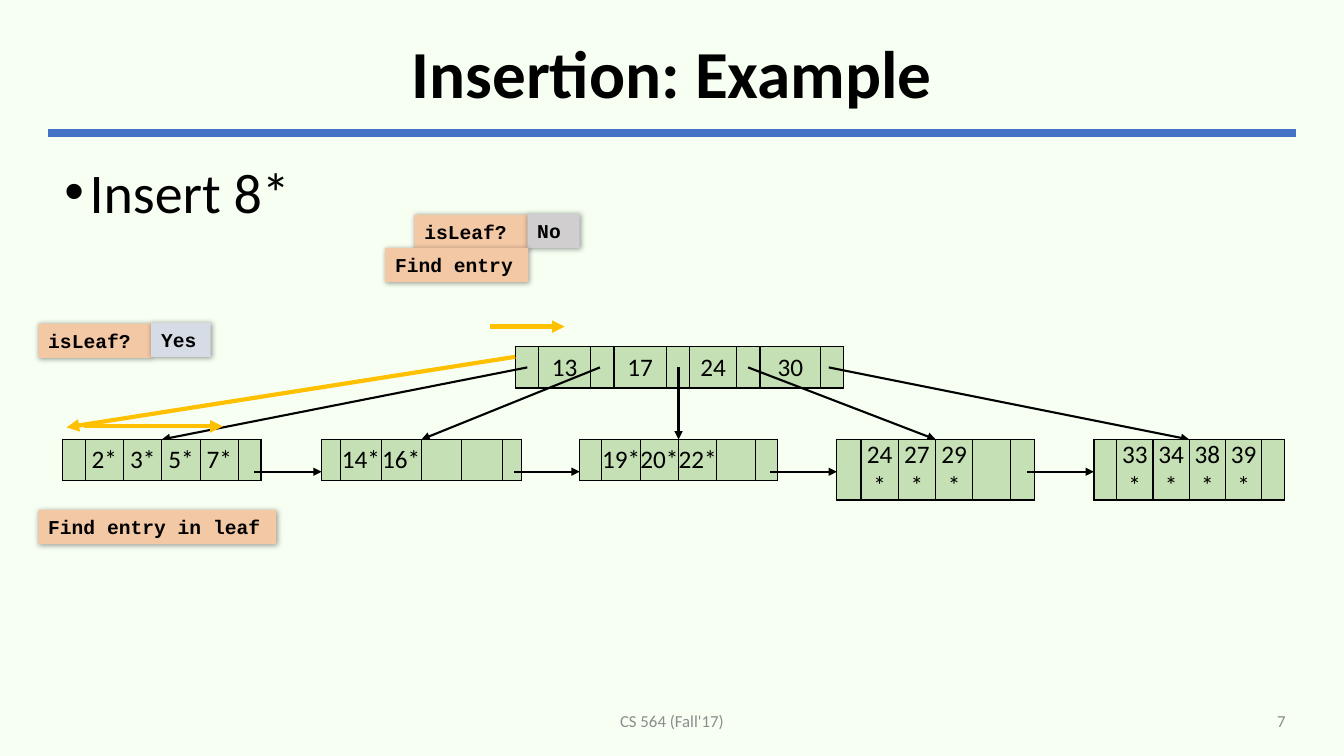
import pptx
import pptx.util
import pptx.dml.color
import pptx.enum.shapes
import pptx.enum.text
import pptx.oxml
import pptx.oxml.ns

In, Pt = pptx.util.Inches, pptx.util.Pt
ALIGN, ANCHOR = pptx.enum.text.PP_ALIGN, pptx.enum.text.MSO_ANCHOR
NS = pptx.oxml.ns.nsdecls("a")

W, H = 13.33, 7.5
MARGIN, CONTENT_W = 0.48, 12.37
COLORS = {
    "background": "F7FFF3", "rule": "4472C4", "text": "000000", "footer": "8C8C8C",
    "node": "C5E0B4", "step": "F3C8A4", "no": "D0CECE", "yes": "D6DCE5", "path": "FFC000",
}

ROOT_BOX = (5.11, 3.44, 3.25, 0.41)
ROOT_COLS = [0.23, 0.52, 0.23, 0.52, 0.23, 0.47, 0.23, 0.6, 0.23]
ROOT_KEYS = ["", "13", "", "17", "", "24", "", "30", ""]
LEAF_TOP, LEAF_H, LEAF_SLOTS = 4.36, 0.41, 4
# Left edge, width, slot width, entries, start of the pointer in the root
LEAVES = [
    (0.62, 1.97, 0.38, ["2*", "3*", "5*", "7*"], 5.23),
    (3.19, 1.98, 0.4, ["14*", "16*"], 5.95),
    (5.75, 1.96, 0.38, ["19*", "20*", "22*"], 6.73),
    (8.3, 1.96, 0.37, ["24*", "27*", "29*"], 7.42),
    (10.85, 1.89, 0.36, ["33*", "34*", "38*", "39*"], 8.22),
]


def rgb(name):
    return pptx.dml.color.RGBColor.from_string(COLORS[name])


def add_run(p, text, size, color="text", font="Calibri", bold=False):
    r = p.add_run()
    r.text = text
    r.font.size, r.font.name, r.font.bold = Pt(size), font, bold
    r.font.color.rgb = rgb(color)


def add_text(s, box, text, size, color="text", align=ALIGN.LEFT,
             anchor=ANCHOR.MIDDLE, bold=False):
    tf = s.shapes.add_textbox(*map(In, box)).text_frame
    tf.word_wrap, tf.vertical_anchor = True, anchor
    p = tf.paragraphs[0]
    p.alignment = align
    add_run(p, text, size, color, bold=bold)
    return p


def add_line(s, start, end, color="text", width=1.5, arrow=True):
    ln = s.shapes.add_connector(pptx.enum.shapes.MSO_CONNECTOR.STRAIGHT,
                                *map(In, (*start, *end)))
    ln.line.color.rgb, ln.line.width = rgb(color), Pt(width)
    if arrow:
        ln.line._get_or_add_ln().append(
            pptx.oxml.parse_xml(f'<a:tailEnd {NS} type="triangle"/>'))
    ln._element.spPr.append(pptx.oxml.parse_xml(f"<a:effectLst {NS}/>"))


def add_node(s, box, widths, keys):
    """One tree node: a single row of pointer and key cells."""
    table = s.shapes.add_table(1, len(widths), *map(In, box)).table
    table.first_row = table.horz_banding = False
    table.rows[0].height = In(box[3])
    for i, (width, key) in enumerate(zip(widths, keys)):
        table.columns[i].width = In(width)
        cell = table.cell(0, i)
        cell.margin_left = cell.margin_right = cell.margin_top = cell.margin_bottom = 0
        cell.vertical_anchor = ANCHOR.MIDDLE
        for side in "LRTB":
            cell._tc.get_or_add_tcPr().append(pptx.oxml.parse_xml(
                f'<a:ln{side} {NS} w="12700"><a:solidFill>'
                f'<a:srgbClr val="{COLORS["text"]}"/></a:solidFill></a:ln{side}>'))
        cell.fill.solid()
        cell.fill.fore_color.rgb = rgb("node")
        p = cell.text_frame.paragraphs[0]
        p.alignment = ALIGN.CENTER
        if key:
            add_run(p, key, 18)


def add_tag(shapes, box, text, fill):
    """A shadowed label naming one search step."""
    sp = shapes.add_shape(pptx.enum.shapes.MSO_SHAPE.RECTANGLE, *map(In, box))
    sp.fill.solid()
    sp.fill.fore_color.rgb = rgb(fill)
    sp.line.fill.background()
    sp._element.spPr.append(pptx.oxml.parse_xml(
        f'<a:effectLst {NS}><a:outerShdw blurRad="50800" dist="12700" dir="2700000" '
        f'algn="tl" rotWithShape="0"><a:srgbClr val="{COLORS["text"]}">'
        '<a:alpha val="40000"/></a:srgbClr></a:outerShdw></a:effectLst>'))
    tf = sp.text_frame
    tf.word_wrap, tf.vertical_anchor = False, ANCHOR.TOP
    tf.auto_size = pptx.enum.text.MSO_AUTO_SIZE.SHAPE_TO_FIT_TEXT
    p = tf.paragraphs[0]
    p.alignment = ALIGN.LEFT
    add_run(p, text, 14, font="Courier New", bold=True)


def add_leaf_check(s, x, y, answer, answer_w, fill):
    """The isLeaf? question with its answer at the right."""
    group = s.shapes.add_group_shape()
    add_tag(group.shapes, (x, y, 1.12, 0.34), "isLeaf?", "step")
    add_tag(group.shapes, (x + 1.12, y - 0.01, answer_w, 0.34), answer, fill)


def add_header(s, x, y, w):
    add_line(s, (x, y + 1.08), (x + w, y + 1.08), "rule", 6, arrow=False)
    p = add_text(s, (x, y, w, 1.04), "Insertion: Example", 48,
                 align=ALIGN.CENTER, bold=True)
    p.line_spacing = 0.9


def add_footer(s, y, h):
    add_text(s, ((W - 4.5) / 2, y, 4.5, h), "CS 564 (Fall'17)", 12, "footer", ALIGN.CENTER)
    add_text(s, (MARGIN + CONTENT_W - 3.44, y, 3.44, h), "7", 12, "footer", ALIGN.RIGHT)


def add_task(s, box):
    p = add_text(s, box, "Insert 8*", 40, anchor=ANCHOR.TOP)
    pPr = p._p.get_or_add_pPr()
    pPr.set("marL", str(In(0.25)))
    pPr.set("indent", str(-In(0.25)))
    pPr.append(pptx.oxml.parse_xml(f'<a:buFont {NS} typeface="Arial"/>'))
    pPr.append(pptx.oxml.parse_xml(f'<a:buChar {NS} char="•"/>'))


def add_tree(s):
    add_node(s, ROOT_BOX, ROOT_COLS, ROOT_KEYS)
    pointer_y = ROOT_BOX[1] + ROOT_BOX[3] / 2
    for x, w, slot, entries, pointer_x in LEAVES:
        add_line(s, (pointer_x, pointer_y), (x + w / 2, LEAF_TOP))
    for x, w, slot, entries, _ in LEAVES:
        edge = (w - LEAF_SLOTS * slot) / 2
        blanks = [""] * (LEAF_SLOTS - len(entries))
        add_node(s, (x, LEAF_TOP, w, LEAF_H), [edge] + [slot] * LEAF_SLOTS + [edge],
                 ["", *entries, *blanks, ""])
    # Links between neighbouring leaves
    link_y = LEAF_TOP + 0.32
    for leaf, following in zip(LEAVES, LEAVES[1:]):
        add_line(s, (leaf[0] + leaf[1] - 0.07, link_y), (following[0], link_y))


def add_search(s):
    # Steps at the root
    add_leaf_check(s, 4.11, 2.13, "No", 0.52, "no")
    add_tag(s.shapes, (3.82, 2.46, 1.42, 0.34), "Find entry", "step")
    # Steps at the leaf
    add_leaf_check(s, 0.38, 3.21, "Yes", 0.59, "yes")
    add_tag(s.shapes, (0.38, 5.06, 2.36, 0.34), "Find entry in leaf", "step")
    # Scan of the root, descent, scan of the leaf
    for start, end in [((4.86, 3.24), (5.6, 3.24)),
                       ((5.11, 3.54), (0.66, 4.24)),
                       ((0.83, 4.23), (2.21, 4.23))]:
        add_line(s, start, end, "path", 3)


def main():
    prs = pptx.Presentation()
    prs.slide_width, prs.slide_height = In(W), In(H)
    s = prs.slides.add_slide(prs.slide_layouts[6])
    s.background.fill.solid()
    s.background.fill.fore_color.rgb = rgb("background")
    add_header(s, MARGIN, 0.24, CONTENT_W)
    add_footer(s, 6.95, 0.4)
    add_task(s, (0.54, 1.51, 12.21, 1.57))
    add_tree(s)
    add_search(s)
    prs.save("out.pptx")


if __name__ == "__main__":
    main()
